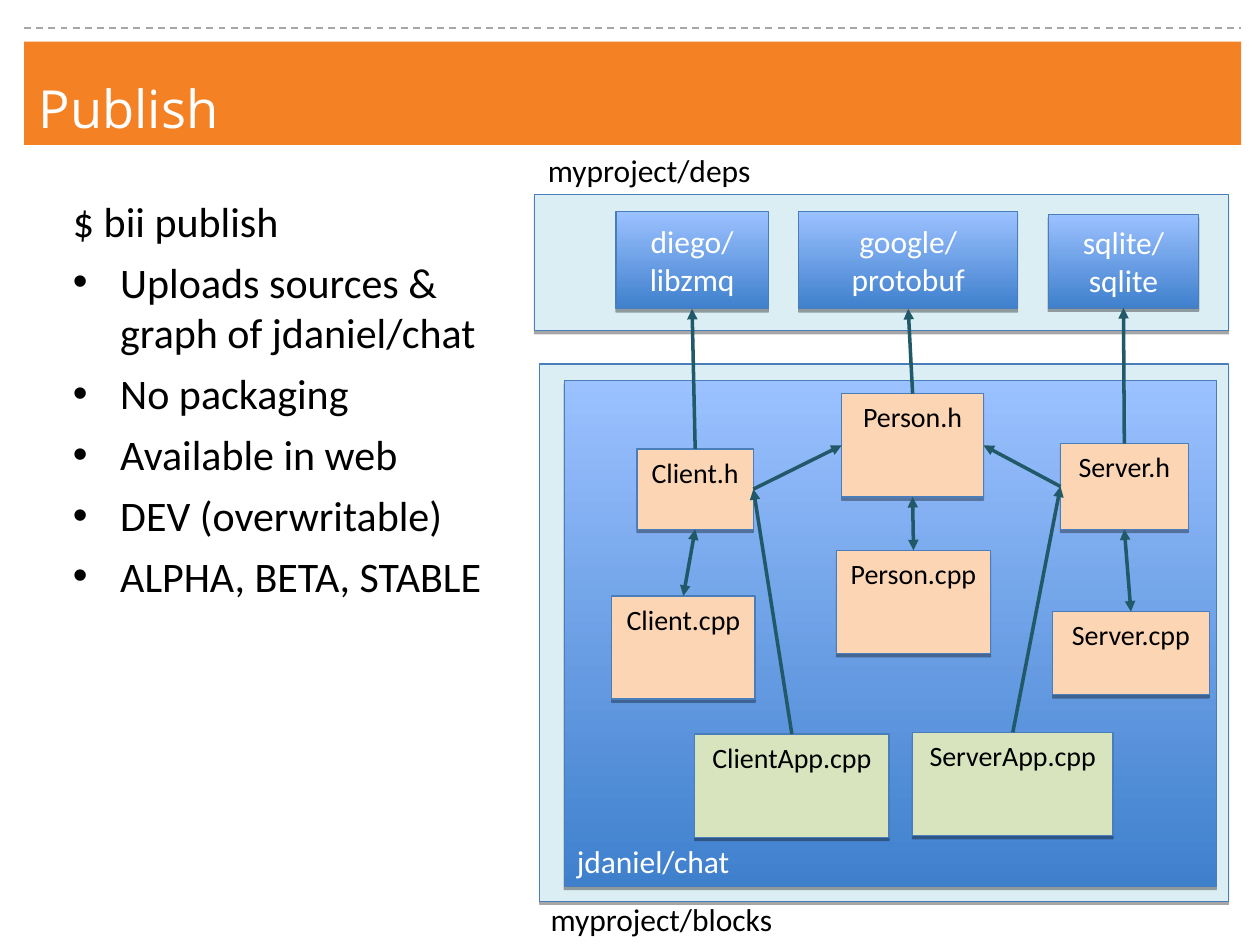
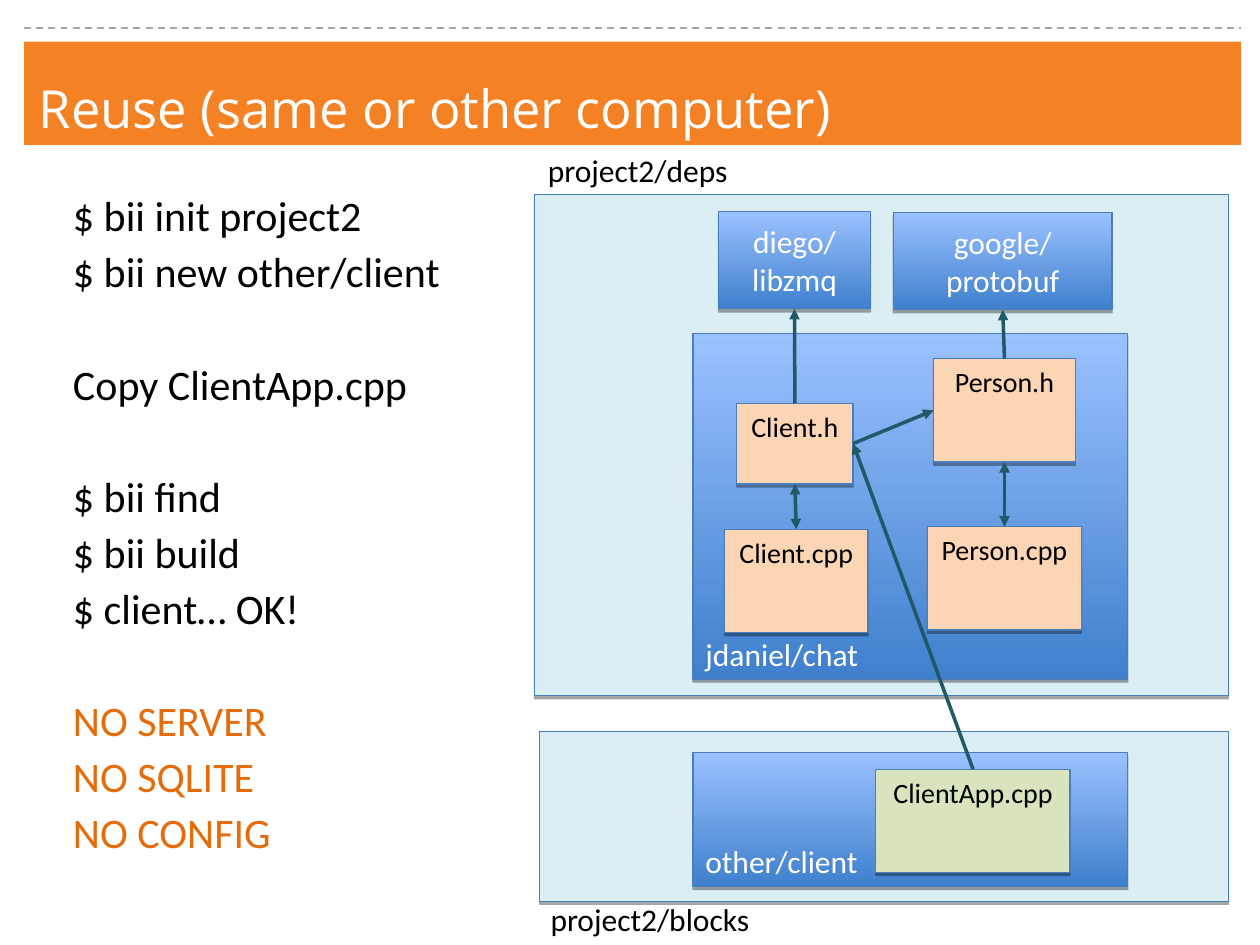
from lxml import etree
from pptx import Presentation
from pptx.dml.color import RGBColor
from pptx.enum import dml, shapes, text
from pptx.oxml import ns
from pptx.util import Pt

ORANGE, RUST, GREY = "F48123", "E46C0A", "A6A6A6"
BLACK, WHITE = "000000", "FFFFFF"
PALE, PEACH, GREEN = "DBEEF4", "FCD5B5", "D7E4BD"
BORDER, ARROW = "4A7EBB", "215968"
GRADIENT = ("3F80CD", "9BC1FF")
BODY_FONT, TITLE_FONT = "Calibri", "Open Sans"
TOP, LEFT, BOTTOM, RIGHT = range(4)  # connection sites of a rectangle

# Width and height of each block or file, the same on every slide
SIZES = {
    "diego/ libzmq": (87, 55.5),
    "google/ protobuf": (125, 55.5),
    "sqlite/ sqlite": (86, 53.5),
    "Client.h": (66.5, 46),
    "Client.cpp": (82, 59),
    "Person.h": (81, 59),
    "Person.cpp": (88, 59),
    "Server.h": (73, 49),
    "Server.cpp": (89.5, 47.5),
    "ClientApp.cpp": (111, 59),
    "ServerApp.cpp": (114.5, 59),
}


def color(hex_code):
    return RGBColor.from_string(hex_code)


def add_xml(parent, tag, **attributes):
    return etree.SubElement(parent, ns.qn(tag), attributes)


def add_drop_shadow(effects):
    """Fill an effect list with the soft downward shadow."""
    shadow = add_xml(effects, "a:outerShdw", blurRad="0", dist="22860",
                     dir="5400000", rotWithShape="0")
    black = add_xml(shadow, "a:srgbClr", val=BLACK)
    add_xml(black, "a:alpha", val="35000")


def style_span(span, size, hex_code, font=BODY_FONT, shadow=False):
    span.font.size = Pt(size)
    span.font.color.rgb = color(hex_code)
    if shadow:
        add_drop_shadow(add_xml(span.font._element, "a:effectLst"))
    span.font.name = font


def place(shape, left, top, width, height):
    shape.left, shape.top = Pt(left), Pt(top)
    shape.width, shape.height = Pt(width), Pt(height)


def add_box(page, left, top, width, height, fill, border=BORDER):
    box = page.shapes.add_shape(shapes.MSO_SHAPE.RECTANGLE, Pt(left), Pt(top),
                                Pt(width), Pt(height))
    box.shadow.inherit = False
    if fill == GRADIENT:
        box.fill.gradient()
        box.fill.gradient_angle = 90
        for stop, hex_code in zip(box.fill.gradient_stops, GRADIENT):
            stop.color.rgb = color(hex_code)
    else:
        box.fill.solid()
        box.fill.fore_color.rgb = color(fill)
    if border:
        box.line.color.rgb = color(border)
        box.line.width = Pt(0.75)
        add_drop_shadow(box._element.spPr.find(ns.qn("a:effectLst")))
    else:
        box.line.fill.background()
    return box


def write(shape, wording, size, hex_code, align, anchor):
    frame = shape.text_frame
    frame.word_wrap = True
    frame.vertical_anchor = anchor
    frame.text = wording
    para = frame.paragraphs[0]
    para.alignment = align
    style_span(para.runs[0], size, hex_code)


def add_project(page, left, top, width, height, name):
    """Add a gradient panel named at its lower left."""
    panel = add_box(page, left, top, width, height, GRADIENT)
    write(panel, name, 18, WHITE, text.PP_ALIGN.LEFT, text.MSO_ANCHOR.BOTTOM)


def add_dependency(page, name, left, top):
    box = add_box(page, left, top, *SIZES[name], GRADIENT)
    write(box, name, 18, WHITE, text.PP_ALIGN.CENTER, text.MSO_ANCHOR.MIDDLE)
    return box


def add_file(page, name, left, top):
    fill = GREEN if "App" in name else PEACH
    box = add_box(page, left, top, *SIZES[name], fill)
    write(box, name, 16, BLACK, text.PP_ALIGN.CENTER, text.MSO_ANCHOR.TOP)
    return box


def add_nodes(page, dependencies, files):
    """Add all blocks and files and return them by name."""
    nodes = {name: add_dependency(page, name, *at) for name, at in dependencies.items()}
    nodes.update({name: add_file(page, name, *at) for name, at in files.items()})
    return nodes


def add_line(page, hex_code, width, start=(0, 0), end=(0, 0)):
    line = page.shapes.add_connector(shapes.MSO_CONNECTOR.STRAIGHT,
                                     *map(Pt, start + end))
    line.line.color.rgb = color(hex_code)
    line.line.width = Pt(width)
    add_xml(line._element.spPr, "a:effectLst")
    return line


def add_arrows(page, nodes, links):
    """Join nodes; a link is source, site, target, site."""
    for source, start_site, target, end_site in links:
        arrow = add_line(page, ARROW, 2)
        arrow.begin_connect(nodes[source], start_site)
        arrow.end_connect(nodes[target], end_site)
        outline = arrow.line._get_or_add_ln()
        if target.endswith(".cpp"):
            add_xml(outline, "a:headEnd", type="triangle")
        add_xml(outline, "a:tailEnd", type="triangle")


def add_caption(page, left, top, wording):
    caption = page.shapes.add_textbox(Pt(left), Pt(top), Pt(248), Pt(29))
    write(caption, wording, 18, BLACK, text.PP_ALIGN.LEFT, text.MSO_ANCHOR.TOP)


def add_captions(page, project):
    add_caption(page, 307.5, 511, f"{project}/blocks")
    add_caption(page, 306, 83, f"{project}/deps")


def add_page(deck, title_text):
    page = deck.slides.add_slide(deck.slide_layouts[1])
    title = page.shapes.title
    place(title, 15, 36.5, 693.5, 58.5)
    write(title, title_text, 30, WHITE, text.PP_ALIGN.LEFT, text.MSO_ANCHOR.MIDDLE)
    title.text_frame.auto_size = text.MSO_AUTO_SIZE.NONE
    para = title.text_frame.paragraphs[0]
    para.line_spacing = 0.7
    para.runs[0].font.name = TITLE_FONT
    return page


def add_header_to_layout(page):
    """Give the layout of this page the title band and the dashed rule."""
    band = add_box(page, 13.75, 23.75, 695.5, 59, ORANGE, border=None)
    rule = add_line(page, GREY, 1, (13.75, 16), (709.25, 16))
    rule.line.dash_style = dml.MSO_LINE.DASH
    tree = page.slide_layout.shapes._spTree
    for shape in (band, rule):
        tree.append(shape._element)


def fill_body(page, groups, line_spacing=1.0, bullets=False):
    """Write groups of lines, each a (colour, lines) pair, one line apart."""
    body = page.placeholders[1]
    place(body, 34.5, 108, 253.5, 409)
    frame = body.text_frame
    frame.auto_size = text.MSO_AUTO_SIZE.NONE
    frame.vertical_anchor = text.MSO_ANCHOR.TOP
    lines = [(line, hex_code, number == 0)
             for hex_code, group in groups for number, line in enumerate(group)]
    frame.text = "\n".join(line for line, _, _ in lines)
    for index, (para, (_, hex_code, opens_group)) in enumerate(zip(frame.paragraphs, lines)):
        properties = para._p.get_or_add_pPr()
        properties.set("marL", str(Pt(27)))
        properties.set("indent", str(-Pt(27)))
        if bullets and index:
            add_xml(properties, "a:buChar", char="•")
        else:
            add_xml(properties, "a:buNone")
        para.line_spacing = line_spacing
        if index == 0:
            para.space_before = Pt(0)
        else:
            para.space_before = Pt(38.4 if opens_group else 6)
        style_span(para.runs[0], 24, hex_code, shadow=True)


def build_publish(deck):
    page = add_page(deck, "Publish")
    add_header_to_layout(page)
    add_box(page, 308.5, 208, 393.5, 307, PALE)
    add_project(page, 322.5, 217.5, 372.5, 289, "jdaniel/chat")
    add_box(page, 305.5, 111, 396.5, 78, PALE)
    nodes = add_nodes(
        page,
        {"diego/ libzmq": (352, 121), "google/ protobuf": (456.5, 121),
         "sqlite/ sqlite": (599, 122.5)},
        {"Client.h": (364, 256.5), "Client.cpp": (349.5, 340.5),
         "Server.h": (606, 253.5), "Server.cpp": (601.5, 349.5),
         "Person.h": (481, 225), "Person.cpp": (478, 314.5),
         "ClientApp.cpp": (397, 419.5), "ServerApp.cpp": (521.5, 418.5)})
    add_arrows(page, nodes, [
        ("Client.h", RIGHT, "Person.h", LEFT),
        ("Server.h", LEFT, "Person.h", RIGHT),
        ("Person.h", TOP, "google/ protobuf", BOTTOM),
        ("Client.h", TOP, "diego/ libzmq", BOTTOM),
        ("Server.h", TOP, "sqlite/ sqlite", BOTTOM),
        ("Client.h", BOTTOM, "Client.cpp", TOP),
        ("Person.h", BOTTOM, "Person.cpp", TOP),
        ("Server.h", BOTTOM, "Server.cpp", TOP),
        ("ClientApp.cpp", TOP, "Client.h", RIGHT),
        ("ServerApp.cpp", TOP, "Server.h", LEFT),
    ])
    add_captions(page, "myproject")
    fill_body(page, [(BLACK, [
        "$ bii publish", "Uploads sources & graph of jdaniel/chat", "No packaging",
        "Available in web", "DEV (overwritable)", "ALPHA, BETA, STABLE"])], bullets=True)


def build_reuse(deck):
    page = add_page(deck, "Reuse (same or other computer)")
    add_box(page, 305.5, 111, 396.5, 286.5, PALE)
    add_project(page, 396, 190.5, 248.5, 197.5, "jdaniel/chat")
    add_box(page, 308.5, 418, 393.5, 97, PALE)
    add_project(page, 396, 430, 248.5, 76.5, "other/client")
    nodes = add_nodes(
        page,
        {"diego/ libzmq": (410.5, 121), "google/ protobuf": (510.5, 121.5)},
        {"Client.h": (421, 230.5), "Client.cpp": (414, 302.5),
         "Person.h": (533.5, 205), "Person.cpp": (530, 301),
         "ClientApp.cpp": (500.5, 439.5)})
    add_arrows(page, nodes, [
        ("Client.h", RIGHT, "Person.h", LEFT),
        ("Person.h", TOP, "google/ protobuf", BOTTOM),
        ("Client.h", TOP, "diego/ libzmq", BOTTOM),
        ("Client.h", BOTTOM, "Client.cpp", TOP),
        ("Person.h", BOTTOM, "Person.cpp", TOP),
        ("ClientApp.cpp", TOP, "Client.h", RIGHT),
    ])
    add_captions(page, "project2")
    fill_body(page, [
        (BLACK, ["$ bii init project2", "$ bii new other/client"]),
        (BLACK, ["Copy ClientApp.cpp"]),
        (BLACK, ["$ bii find", "$ bii build", "$ client… OK!"]),
        (RUST, ["NO SERVER", "NO SQLITE", "NO CONFIG"]),
    ], line_spacing=0.9)


def main():
    deck = Presentation()
    deck.slide_width, deck.slide_height = Pt(720), Pt(540)
    build_publish(deck)
    build_reuse(deck)
    deck.save("out.pptx")


if __name__ == "__main__":
    main()
